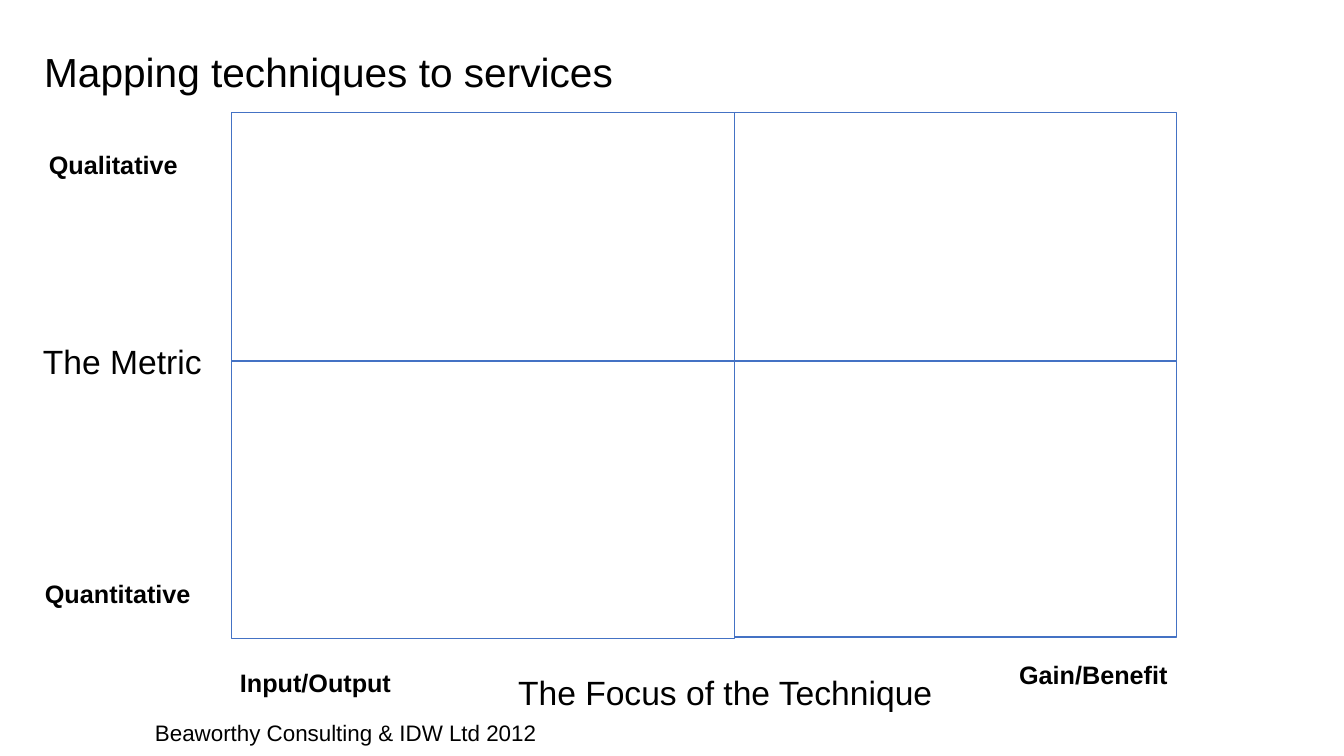
from pptx import Presentation, util as u
from pptx.dml.color import RGBColor
from pptx.enum import shapes, text

PX_PER_INCH = 100.8
BLACK = RGBColor(0x00, 0x00, 0x00)
BLUE = RGBColor(0x44, 0x72, 0xC4)
FONT = "Arial"


def px(value):
    return u.Inches(value / PX_PER_INCH)


def write(shape, content, size=18, bold=False, anchor=text.MSO_ANCHOR.MIDDLE,
          line_spacing=None):
    frame = shape.text_frame
    frame.word_wrap = True
    frame.auto_size = text.MSO_AUTO_SIZE.NONE
    frame.vertical_anchor = anchor
    paragraph = frame.paragraphs[0]
    paragraph.text = content
    paragraph.alignment = text.PP_ALIGN.LEFT
    paragraph.line_spacing = line_spacing
    font = paragraph.font
    font.name, font.size, font.bold = FONT, u.Pt(size), bold
    font.color.rgb = BLACK


def add_title(slide, content):
    title = slide.shapes.title
    title.left, title.top = px(34), px(44)
    title.width, title.height = px(1141), px(57)
    write(title, content, size=29, anchor=text.MSO_ANCHOR.BOTTOM, line_spacing=0.9)


def add_label(slide, content, left, top, width, height, **text_format):
    box = slide.shapes.add_textbox(px(left), px(top), px(width), px(height))
    write(box, content, **text_format)


def add_quadrant(slide, left, top, right, bottom):
    quadrant = slide.shapes.add_shape(
        shapes.MSO_SHAPE.RECTANGLE,
        px(left), px(top), px(right - left), px(bottom - top))
    quadrant.shadow.inherit = False
    quadrant.fill.background()
    quadrant.line.color.rgb = BLUE
    quadrant.line.width = u.Pt(0.75)


def main():
    presentation = Presentation()
    presentation.slide_width = u.Inches(13.33)
    presentation.slide_height = u.Inches(7.5)
    slide = presentation.slides.add_slide(presentation.slide_layouts[5])
    add_title(slide, "Mapping techniques to services")

    # Vertical axis
    add_label(slide, "The Metric", 33, 336, 193, 50, size=24)
    add_label(slide, "Qualitative", 39, 144, 187, 40, bold=True)
    add_label(slide, "Quantitative", 35, 573, 191, 40, bold=True)

    # Horizontal axis
    add_label(slide, "The Focus of the Technique", 508, 667, 440, 50, size=24)
    add_label(slide, "Input/Output", 230, 662, 217, 40, bold=True)
    add_label(slide, "Gain/Benefit", 1009, 654, 221, 40, bold=True)

    # Quadrants: the lower left one reaches slightly further down
    left, middle, right = 231, 734, 1176
    top, centre = 113, 361
    add_quadrant(slide, left, top, middle, centre)
    add_quadrant(slide, middle, top, right, centre)
    add_quadrant(slide, left, centre, middle, 639)
    add_quadrant(slide, middle, centre, right, 637)

    # Footer
    add_label(slide, "Beaworthy Consulting & IDW Ltd 2012", 145, 714, 667, 37, size=16)

    presentation.save("out.pptx")


if __name__ == "__main__":
    main()
